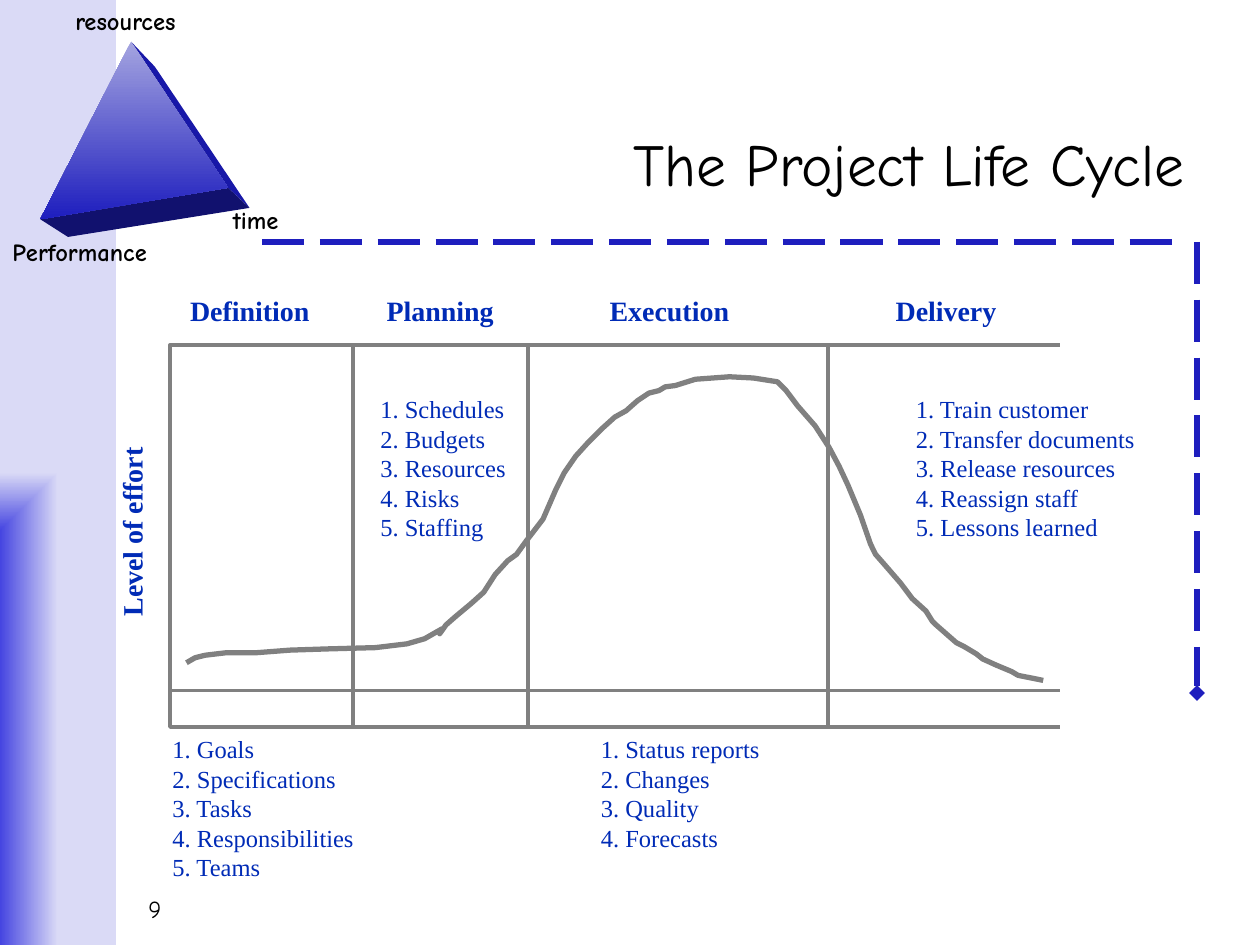
from typing import NamedTuple

from lxml.etree import SubElement
from pptx import Presentation
from pptx.dml.color import RGBColor
from pptx.enum.dml import MSO_LINE_DASH_STYLE as Dash
from pptx.enum.shapes import MSO_CONNECTOR_TYPE as Connector, MSO_SHAPE as Preset
from pptx.enum.text import MSO_ANCHOR as Anchor, MSO_AUTO_SIZE as AutoSize, PP_ALIGN as Align
from pptx.oxml.ns import qn
from pptx.util import Inches, Pt

BLACK, NAVY, BLUE, GRAY = "000000", "002BB6", "1E1EBE", "808080"
COMIC, TIMES = "Comic Neue", "Times New Roman"

Point = tuple[float, float]


class Label(NamedTuple):
    text: str
    left: float
    top: float
    width: float


class Phase(NamedTuple):
    heading: Label
    list_left: float
    list_top: float
    list_width: float
    items: list[str]


class Face(NamedTuple):
    corners: list[Point]
    colors: list[str]


CORNER_LABELS = [
    Label("resources", 0.5, 0, 1.1),
    Label("Performance", 0, 1.83, 1.38),
    Label("time", 1.75, 1.58, 0.61),
]

APEX, LEFT, RIGHT = (1.04, 0.33), (0.32, 1.74), (1.81, 1.49)
BACK_APEX, BACK_LEFT, BACK_RIGHT = (1.23, 0.53), (0.54, 1.88), (1.98, 1.65)
PYRAMID = [
    Face([APEX, BACK_APEX, BACK_RIGHT, RIGHT], ["1818A8"]),
    Face([LEFT, RIGHT, BACK_RIGHT, BACK_LEFT], ["11116E"]),
    Face([APEX, RIGHT, LEFT], ["A4A4E0", BLUE]),
]

PHASES = [
    Phase(Label("Definition", 1.41, 2.28, 1.15), 1.27, 5.78, 1.64,
          ["Goals", "Specifications", "Tasks", "Responsibilities", "Teams"]),
    Phase(Label("Planning", 2.97, 2.28, 1.05), 2.92, 3.08, 1.2,
          ["Schedules", "Budgets", "Resources", "Risks", "Staffing"]),
    Phase(Label("Execution", 4.74, 2.28, 1.15), 4.67, 5.78, 1.46,
          ["Status reports", "Changes", "Quality", "Forecasts"]),
    Phase(Label("Delivery", 7.01, 2.28, 1.01), 7.17, 3.08, 1.95,
          ["Train customer", "Transfer documents", "Release resources",
           "Reassign staff", "Lessons learned"]),
]

COLUMN_EDGES = [1.35, 2.8, 4.19, 6.57]
CHART_TOP, BASELINE, CHART_BOTTOM, CHART_RIGHT = 2.74, 5.48, 5.77, 8.41

EFFORT = [
    (1.48, 5.26), (1.55, 5.22), (1.63, 5.2), (1.8, 5.18), (2.04, 5.18), (2.3, 5.16),
    (2.6, 5.15), (2.98, 5.14), (3.23, 5.11), (3.37, 5.07), (3.51, 4.99), (3.49, 5.03),
    (3.54, 4.96), (3.62, 4.89), (3.68, 4.84), (3.74, 4.79), (3.84, 4.7), (3.93, 4.56),
    (4.03, 4.45), (4.1, 4.4), (4.18, 4.29), (4.31, 4.12), (4.41, 3.89), (4.48, 3.75),
    (4.57, 3.62), (4.67, 3.51), (4.78, 3.4), (4.88, 3.31), (4.97, 3.26), (5.06, 3.18),
    (5.15, 3.12), (5.23, 3.1), (5.28, 3.07), (5.36, 3.06), (5.52, 3.01), (5.79, 2.99),
    (5.98, 3), (6.17, 3.03), (6.24, 3.1), (6.33, 3.22), (6.47, 3.38), (6.58, 3.55),
    (6.66, 3.7), (6.73, 3.85), (6.83, 4.09), (6.91, 4.32), (6.95, 4.4), (7.02, 4.48),
    (7.15, 4.63), (7.24, 4.75), (7.35, 4.85), (7.4, 4.93), (7.43, 4.96), (7.59, 5.1),
    (7.65, 5.13), (7.75, 5.19), (7.8, 5.23), (7.91, 5.28), (8.03, 5.33), (8.08, 5.36),
    (8.23, 5.39), (8.28, 5.4),
]


def rgb(color: str) -> RGBColor:
    return RGBColor.from_string(color)


def write(frame, text: str, *, font: str, size: float, color: str,
          bold: bool = False, align=Align.LEFT, anchor=Anchor.TOP) -> None:
    frame.vertical_anchor = anchor
    paragraph = frame.paragraphs[0]
    paragraph.text = text
    paragraph.alignment = align
    paragraph.font.name = font
    paragraph.font.size = Pt(size)
    paragraph.font.bold = bold
    paragraph.font.color.rgb = rgb(color)


def place(shape, left: float, top: float, width: float, height: float) -> None:
    shape.left, shape.top = Inches(left), Inches(top)
    shape.width, shape.height = Inches(width), Inches(height)


def add_label(slide, label: Label, height: float, **style):
    box = slide.shapes.add_textbox(Inches(label.left), Inches(label.top),
                                   Inches(label.width), Inches(height))
    box.text_frame.word_wrap = False
    box.text_frame.auto_size = AutoSize.SHAPE_TO_FIT_TEXT
    write(box.text_frame, label.text, **style)
    return box


def add_line(slide, start: Point, end: Point, color: str, width: float,
             dash=None, tail: str = ""):
    line = slide.shapes.add_connector(
        Connector.STRAIGHT, *(Inches(value) for value in start + end))
    line.line.color.rgb = rgb(color)
    line.line.width = Pt(width)
    if dash:
        line.line.dash_style = dash
    if tail:
        SubElement(line.line._get_or_add_ln(), qn("a:tailEnd"), type=tail)
    SubElement(line._element.spPr, qn("a:effectLst"))


def add_outline(slide, points: list[Point], closed: bool):
    start, *rest = [(Inches(x), Inches(y)) for x, y in points]
    builder = slide.shapes.build_freeform(*start)
    builder.add_line_segments(rest, close=closed)
    shape = builder.convert_to_shape()
    shape.shadow.inherit = False
    return shape


def fill_gradient(shape, colors: list[str]) -> None:
    shape.fill.gradient()
    shape.fill.gradient_angle = 270
    for stop, color in zip(shape.fill.gradient_stops, colors):
        stop.color.rgb = rgb(color)


def add_sidebar(slide) -> None:
    sidebar = slide.shapes.add_shape(Preset.RECTANGLE, 0, 0, Inches(0.92), Inches(7.5))
    sidebar.shadow.inherit = False
    sidebar.line.fill.background()
    fill_gradient(sidebar, ["4545E1", "DADAF6"])
    gradient = sidebar._element.spPr.find(qn("a:gradFill"))
    gradient.remove(gradient.find(qn("a:lin")))
    corner = SubElement(gradient, qn("a:path"), path="rect")
    SubElement(corner, qn("a:fillToRect"), l="0", t="100000", r="100000", b="0")


def add_pyramid(slide) -> None:
    for face in PYRAMID:
        shape = add_outline(slide, face.corners, closed=True)
        shape.line.fill.background()
        if len(face.colors) > 1:
            fill_gradient(shape, face.colors)
        else:
            shape.fill.solid()
            shape.fill.fore_color.rgb = rgb(face.colors[0])


def add_effort_chart(slide) -> None:
    curve = add_outline(slide, EFFORT, closed=False)
    curve.fill.background()
    curve.line.color.rgb = rgb(GRAY)
    curve.line.width = Pt(3)
    add_line(slide, (COLUMN_EDGES[0], BASELINE), (CHART_RIGHT, BASELINE), GRAY, 2.25)
    for left, right in zip(COLUMN_EDGES, COLUMN_EDGES[1:]):
        column = slide.shapes.add_shape(
            Preset.RECTANGLE, Inches(left), Inches(CHART_TOP),
            Inches(right - left), Inches(CHART_BOTTOM - CHART_TOP))
        column.shadow.inherit = False
        column.fill.background()
        column.line.color.rgb = rgb(GRAY)
        column.line.width = Pt(2.25)
    for y in (CHART_TOP, CHART_BOTTOM):
        add_line(slide, (COLUMN_EDGES[-1], y), (CHART_RIGHT, y), GRAY, 2.25)


def main() -> None:
    presentation = Presentation()
    presentation.slide_width, presentation.slide_height = Inches(10), Inches(7.5)
    slide = presentation.slides.add_slide(presentation.slide_layouts[5])

    add_sidebar(slide)
    add_pyramid(slide)
    for label in CORNER_LABELS:
        add_label(slide, label, 0.33, font=COMIC, size=14, color=BLACK, bold=True)
    add_line(slide, (2.08, 1.92), (9.42, 1.92), BLUE, 3, Dash.LONG_DASH)
    add_line(slide, (9.5, 1.92), (9.5, 5.5), BLUE, 3, Dash.LONG_DASH, "diamond")

    number = slide.shapes.add_textbox(Inches(1.08), Inches(6.83), Inches(6.42), Inches(0.5))
    number.text_frame.word_wrap = True
    number.text_frame.margin_bottom = 0
    write(number.text_frame, "9", font=COMIC, size=14, color=BLACK, anchor=Anchor.BOTTOM)

    title = slide.shapes.title
    place(title, 2.08, 0.67, 7.42, 1.25)
    write(title.text_frame, "The Project Life Cycle", font=COMIC, size=34, color=BLACK,
          align=Align.RIGHT, anchor=Anchor.MIDDLE)

    add_effort_chart(slide)
    heading_style = dict(font=TIMES, size=16, color=NAVY, bold=True)
    for phase in PHASES:
        add_label(slide, phase.heading, 0.37, **heading_style)
        text = "\v".join(f"{rank}. {item}" for rank, item in enumerate(phase.items, 1))
        steps = Label(text, phase.list_left, phase.list_top, phase.list_width)
        add_label(slide, steps, 0.1 + 0.23 * len(phase.items),
                  font=TIMES, size=14, color=NAVY)
    axis = add_label(slide, Label("Level of effort", 0.27, 4.03, 1.55), 0.37, **heading_style)
    axis.rotation = 270

    presentation.save("out.pptx")


if __name__ == "__main__":
    main()
